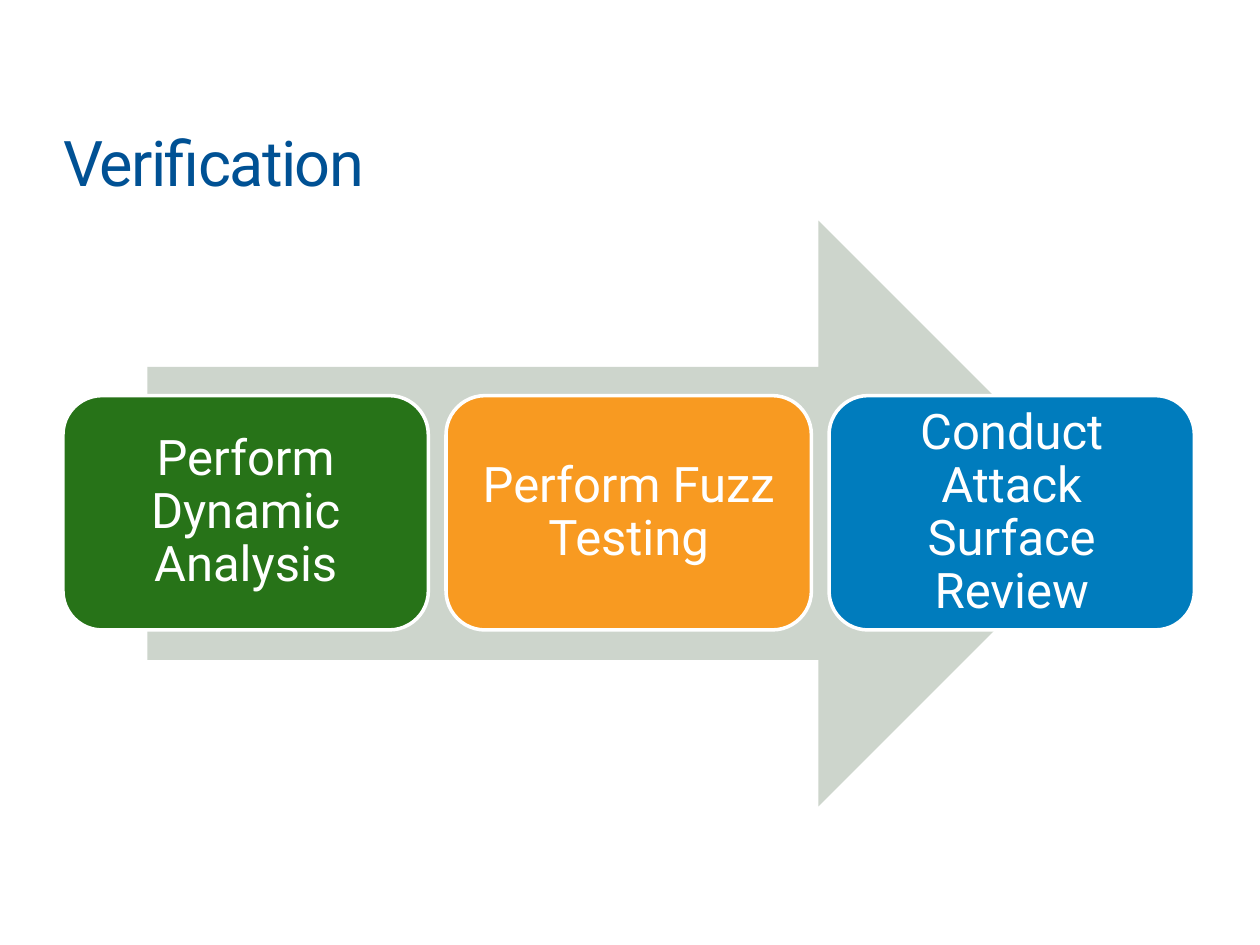
from dataclasses import dataclass

from pptx import Presentation
from pptx.dml.color import RGBColor as RGB
from pptx.enum.shapes import MSO_SHAPE as SHAPE
from pptx.enum.text import MSO_ANCHOR as ANCHOR, MSO_AUTO_SIZE as AUTO, PP_ALIGN as ALIGN
from pptx.util import Inches, Pt

COLORS = {
    "title": "005194",
    "arrow": "CDD5CC",
    "green": "277318",
    "orange": "F89A21",
    "blue": "007CBD",
    "white": "FFFFFF",
}
FONT = "Roboto"

# Row of step boxes, in inches
LEFT, TOP = 0.5, 3.14
BOX_W, BOX_H = 2.9, 1.86
PITCH = 3.04


@dataclass
class Step:
    text: str
    color: str


STEPS = [
    Step("Perform Dynamic Analysis", "green"),
    Step("Perform Fuzz Testing", "orange"),
    Step("Conduct Attack Surface Review", "blue"),
]


def color(name: str) -> RGB:
    return RGB.from_string(COLORS[name])


def set_insets(tf, inset: float) -> None:
    tf.margin_left = tf.margin_right = Inches(inset)
    tf.margin_top = tf.margin_bottom = Inches(inset)


def add_run(p, text: str, size: float, color_name: str):
    r = p.add_run()
    r.text = text
    r.font.name, r.font.size = FONT, Pt(size)
    r.font.color.rgb = color(color_name)
    return r


def add_block(s, kind, x: float, y: float, w: float, h: float, fill: str):
    sp = s.shapes.add_shape(kind, Inches(x), Inches(y), Inches(w), Inches(h))
    sp.shadow.inherit = False
    sp.fill.solid()
    sp.fill.fore_color.rgb = color(fill)
    sp.line.fill.background()
    return sp


def add_title(s, text: str) -> None:
    sp = s.shapes.title
    sp.left, sp.top = Inches(LEFT), Inches(0.98)
    sp.width, sp.height = Inches(9), Inches(0.61)
    tf = sp.text_frame
    set_insets(tf, 0)
    tf.vertical_anchor = ANCHOR.TOP
    tf.auto_size = AUTO.NONE
    p = tf.paragraphs[0]
    p.alignment = ALIGN.LEFT
    r = add_run(p, text, 36, "title")
    r.font._element.set("spc", "-100")  # tighter letter spacing


def add_step(s, column: int, step: Step) -> None:
    sp = add_block(s, SHAPE.ROUNDED_RECTANGLE, LEFT + column * PITCH, TOP,
                   BOX_W, BOX_H, step.color)
    sp.line.color.rgb = color("white")
    sp.line.width = Pt(2)
    tf = sp.text_frame
    set_insets(tf, 0.12)
    tf.word_wrap = True
    tf.vertical_anchor = ANCHOR.MIDDLE
    p = tf.paragraphs[0]
    p.alignment = ALIGN.CENTER
    p.line_spacing = 0.9
    add_run(p, step.text, 28, "white")


def main() -> None:
    prs = Presentation()
    prs.slide_width, prs.slide_height = Inches(10), Inches(7.5)
    s = prs.slides.add_slide(prs.slide_layouts[5])

    # Title
    add_title(s, "Verification")

    # Process arrow behind the steps
    add_block(s, SHAPE.RIGHT_ARROW, 1.17, 1.75, 7.65, 4.65, "arrow")

    # Steps
    for column, step in enumerate(STEPS):
        add_step(s, column, step)

    prs.save("out.pptx")


if __name__ == "__main__":
    main()
